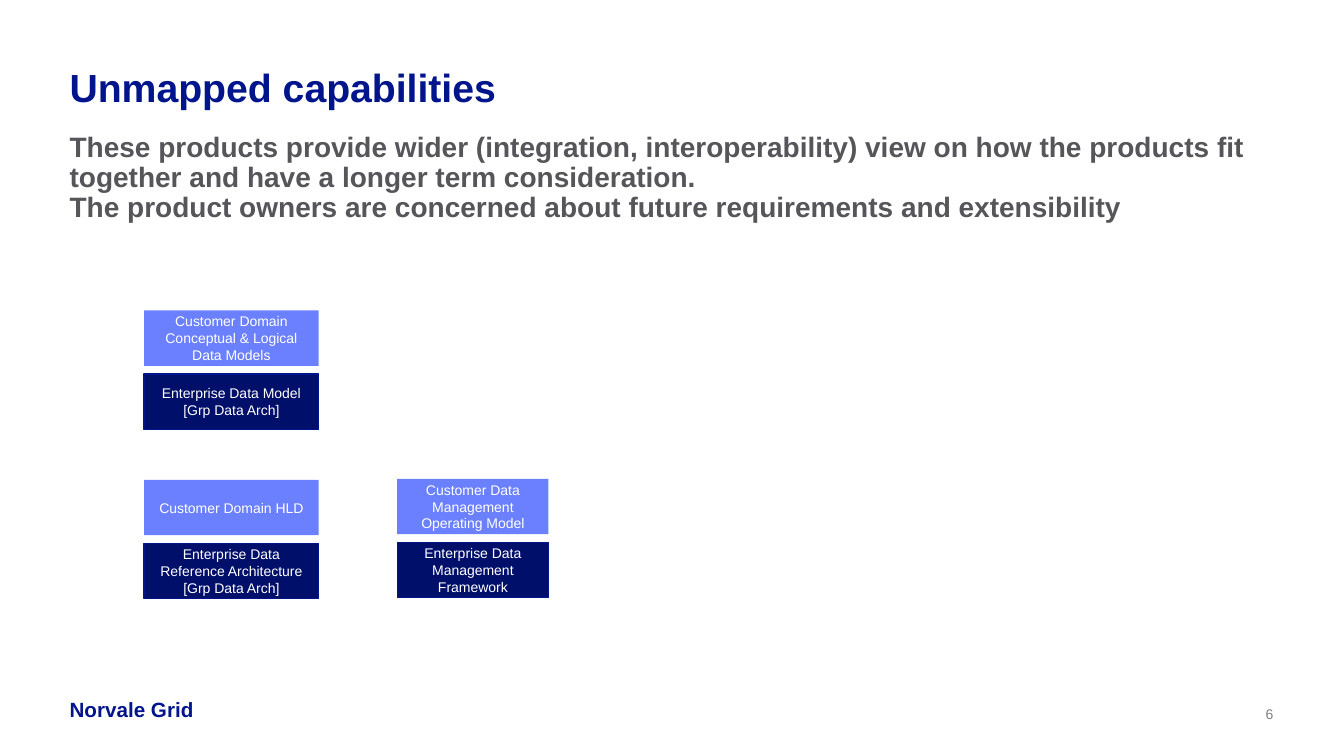
"""Build the slide on unmapped capabilities."""
from pptx import Presentation
from pptx.dml.color import RGBColor
from pptx.enum.shapes import MSO_SHAPE
from pptx.enum.text import MSO_ANCHOR, PP_ALIGN
from pptx.util import Inches, Pt

NAVY, DARK, LIGHT = "00148C", "000F69", "6B80FF"
GREY, PALE, WHITE = "55555A", "808080", "FFFFFF"


def color(code):
    return RGBColor.from_string(code)


class Page:
    font = "Arial"

    def __init__(self, slide):
        self.slide = slide

    def fill_in(self, frame, lines, size, ink, bold=False, align=PP_ALIGN.LEFT,
                anchor=MSO_ANCHOR.TOP, pad=(0, 0), space=1.0):
        frame.word_wrap = True
        frame.vertical_anchor = anchor
        frame.margin_left = frame.margin_right = Inches(pad[0])
        frame.margin_top = frame.margin_bottom = Inches(pad[1])
        for i, line in enumerate(lines):
            para = frame.add_paragraph() if i else frame.paragraphs[0]
            para.text = line
            para.alignment = align
            para.line_spacing = space
            para.font.name = self.font
            para.font.size = Pt(size)
            para.font.bold = bold
            para.font.color.rgb = color(ink)

    def text(self, place, lines, size, ink, **style):
        box = self.slide.shapes.add_textbox(*map(Inches, place))
        self.fill_in(box.text_frame, lines, size, ink, **style)

    def block(self, place, lines, fill, pad, edge=None):
        box = self.slide.shapes.add_shape(MSO_SHAPE.RECTANGLE, *map(Inches, place))
        box.shadow.inherit = False
        box.fill.solid()
        box.fill.fore_color.rgb = color(fill)
        if edge:
            box.line.color.rgb = color(edge)
            box.line.width = Pt(1)
        else:
            box.line.fill.background()
        self.fill_in(box.text_frame, lines, 10, WHITE, align=PP_ALIGN.CENTER,
                     anchor=MSO_ANCHOR.MIDDLE, pad=pad)

    def pair(self, left, top, width, upper, lower):
        self.block((left, top, width, 0.55), upper, LIGHT, (0.13, 0.07))
        self.block((left, top + 0.63, width, 0.55), lower, DARK, (0.1, 0.05), NAVY)


def main():
    deck = Presentation()
    deck.slide_width, deck.slide_height = Inches(13.33), Inches(7.5)
    page = Page(deck.slides.add_slide(deck.slide_layouts[6]))

    page.text((0.69, 0.68, 11.96, 0.42), ["Unmapped capabilities"], 28, NAVY,
              bold=True, space=0.9)
    page.text((0.69, 1.32, 11.96, 0.91), [
        "These products provide wider (integration, interoperability) view on how "
        "the products fit together and have a longer term consideration.",
        "The product owners are concerned about future requirements and extensibility",
    ], 20, GREY, bold=True, space=0.9)

    page.pair(1.43, 3.08, 1.73, ["Customer Domain Conceptual & Logical Data Models"],
              ["Enterprise Data Model", "[Grp Data Arch]"])
    page.pair(1.43, 4.76, 1.73, ["Customer Domain HLD"],
              ["Enterprise Data Reference Architecture [Grp Data Arch]"])
    page.pair(3.94, 4.75, 1.5, ["Customer Data Management Operating Model"],
              ["Enterprise Data Management Framework"])

    page.text((0.69, 6.91, 1.33, 0.25), ["Norvale Grid"], 14.7, NAVY, bold=True,
              anchor=MSO_ANCHOR.BOTTOM)
    page.text((12.21, 7, 0.42, 0.17), ["6"], 10, PALE, align=PP_ALIGN.RIGHT,
              anchor=MSO_ANCHOR.BOTTOM)
    deck.save("out.pptx")


if __name__ == "__main__":
    main()
